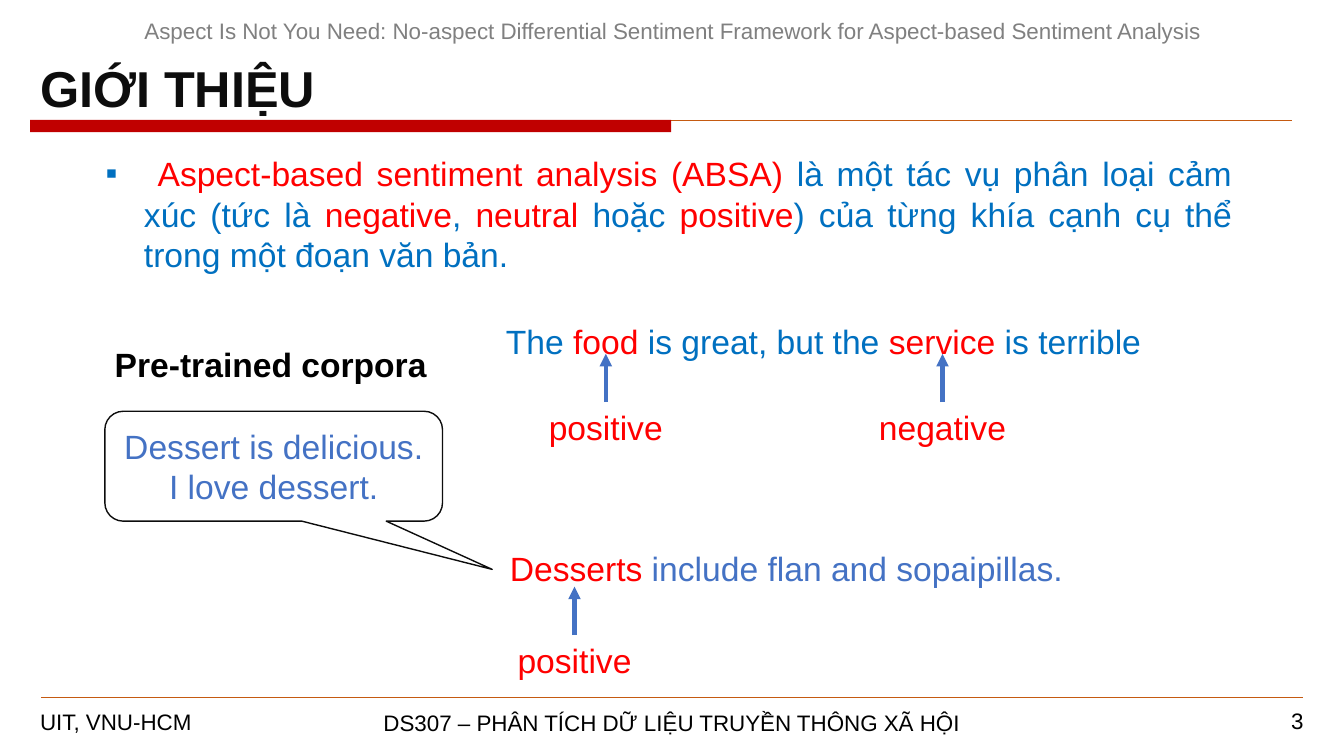
import pptx
import pptx.util
import pptx.dml.color
import pptx.enum.shapes
import pptx.enum.text
import pptx.oxml
import pptx.oxml.ns

RGB = pptx.dml.color.RGBColor
BLACK = RGB(0, 0, 0)
INK = RGB(0x0D, 0x0D, 0x0D)
GRAY = RGB(0x80, 0x80, 0x80)
WHITE = RGB(0xFF, 0xFF, 0xFF)
RED = RGB(0xFF, 0, 0)
CRIMSON = RGB(0xC0, 0, 0)
RUST = RGB(0xC5, 0x5A, 0x11)
BLUE = RGB(0, 0x70, 0xC0)
STEEL = RGB(0x44, 0x72, 0xC4)

SHAPE = pptx.enum.shapes.MSO_SHAPE
ALIGN = pptx.enum.text.PP_ALIGN
ANCHOR = pptx.enum.text.MSO_ANCHOR
Pt = pptx.util.Pt

# Grid: 40 columns by 30 rows
WIDTH, HEIGHT = pptx.util.Inches(13.33), pptx.util.Inches(7.5)
COL, ROW = WIDTH / 40, HEIGHT / 30


def place(box, x, y, w, h):
    """Turn a cell offset within a box into slide lengths."""
    return (round((box[0] + x) * COL), round((box[1] + y) * ROW),
            round(w * COL), round(h * ROW))


def write(shape, runs, size, align=ALIGN.LEFT, bold=False, anchor=ANCHOR.TOP):
    frame = shape.text_frame
    frame.word_wrap = True
    frame.vertical_anchor = anchor
    para = frame.paragraphs[0]
    para.alignment = align
    for text, color in runs:
        run = para.add_run()
        run.text = text
        run.font.name = "Arial"
        run.font.size = Pt(size)
        run.font.bold = bold
        run.font.color.rgb = color
    return para


def label(slide, area, runs, size=24, **style):
    shape = slide.shapes.add_textbox(*area)
    write(shape, runs, size, **style)
    return shape


def line(slide, start, end, color, width):
    link = slide.shapes.add_connector(
        pptx.enum.shapes.MSO_CONNECTOR.STRAIGHT, *start, *end)
    link.line.color.rgb = color
    link.line.width = Pt(width)
    pptx.oxml.ns.qn("a:effectLst")
    link._element.spPr.append(element("effectLst"))
    return link


def element(tag, **attrs):
    space = pptx.oxml.ns.nsdecls("a")
    node = pptx.oxml.parse_xml(f"<a:{tag} {space}/>")
    for name, value in attrs.items():
        node.set(name, value)
    return node


def rule(slide, box, x, y, w):
    left, top, width, _ = place(box, x, y, w, 0)
    line(slide, (left, top), (left + width, top), RUST, 0.5)


def header(slide, box):
    label(slide, place(box, 3.66, 0.48, 32.73, 2.56),
          [("Aspect Is Not You Need: No-aspect Differential Sentiment "
            "Framework for Aspect-based Sentiment Analysis", GRAY)],
          16, align=ALIGN.CENTER)
    label(slide, place(box, 0.9, 2.08, 19.92, 2.84),
          [("GIỚI THIỆU", INK)], 36, bold=True)
    rule(slide, box, 0.9, 4.76, 37.56)
    bar = slide.shapes.add_shape(SHAPE.RECTANGLE,
                                 *place(box, 0.9, 4.76, 19.08, 0.48))
    bar.shadow.inherit = False
    bar.fill.solid()
    bar.fill.fore_color.rgb = CRIMSON
    bar.line.fill.background()


def footer(slide, box):
    rule(slide, box, 1.23, 0, 37.56)
    label(slide, place(box, 0.9, 0.24, 6.51, 1.6),
          [("UIT, VNU-HCM", BLACK)], 16)
    label(slide, place(box, 10.98, 0.2, 18.03, 1.6),
          [("DS307 – PHÂN TÍCH DỮ LIỆU TRUYỀN THÔNG XÃ HỘI", BLACK)],
          16, align=ALIGN.CENTER, anchor=ANCHOR.MIDDLE)
    label(slide, place(box, 37.32, 0.12, 1.77, 1.6), [("3", BLACK)],
          16, align=ALIGN.RIGHT, anchor=ANCHOR.MIDDLE)


def define(slide, box):
    shape = slide.shapes.add_textbox(*place(box, 0, 0, *box[2:]))
    para = write(shape, [
        (" ", BLUE),
        ("Aspect-based sentiment analysis (ABSA) ", RED),
        ("là một tác vụ phân loại cảm xúc (tức là ", BLUE),
        ("negative", RED), (", ", BLUE), ("neutral", RED),
        (" hoặc ", BLUE), ("positive", RED),
        (") của từng khía cạnh cụ thể trong một đoạn văn bản.", BLUE),
    ], 24, ALIGN.JUSTIFY)
    # Square bullet with a hanging indent
    props = para._p.get_or_add_pPr()
    hang = pptx.util.Inches(0.38)
    props.set("marL", str(hang))
    props.set("indent", str(-hang))
    props.append(element("buFont", typeface="Arial"))
    props.append(element("buChar", char="▪"))


def corpus(slide, box):
    label(slide, place(box, 0, 0, box[2], 2),
          [("Pre-trained corpora", BLACK)], bold=True)
    bubble = slide.shapes.add_shape(SHAPE.ROUNDED_RECTANGULAR_CALLOUT,
                                    *place(box, 0, 2.88, 10.05, 4.36))
    for index, value in enumerate((0.647, 0.939, 0.167)):
        bubble.adjustments[index] = value
    bubble.shadow.inherit = False
    bubble.fill.solid()
    bubble.fill.fore_color.rgb = WHITE
    bubble.line.color.rgb = INK
    bubble.line.width = Pt(1)
    write(bubble, [("Dessert is delicious. I love dessert.", STEEL)],
          24, ALIGN.CENTER, anchor=ANCHOR.MIDDLE)


def sample(slide, box, runs, tags, drop):
    """A sentence with polarity tags pointing up at its aspects."""
    label(slide, place(box, 0, 0, *box[2:]), runs)
    for text, x in tags:
        left, top, width, height = place(box, x, drop, 4.68, 2)
        tag = label(slide, (left, top, width, height), [(text, RED)],
                    align=ALIGN.CENTER)
        mid = left + width // 2
        arrow = line(slide, (mid, top), (mid, top - round(1.92 * ROW)),
                     STEEL, 3)
        arrow.begin_connect(tag, 0)
        arrow.line._get_or_add_ln().append(
            element("tailEnd", type="triangle"))


def main():
    deck = pptx.Presentation()
    deck.slide_width, deck.slide_height = WIDTH, HEIGHT
    slide = deck.slides.add_slide(deck.slide_layouts[6])

    header(slide, (0, 0, 40, 5.24))
    define(slide, (2.85, 5.88, 34.11, 6.88))
    corpus(slide, (3.12, 13.44, 10.68, 7.24))
    sample(slide, (14.76, 12.52, 19.56, 2),
           [("The ", BLUE), ("food", RED), (" is great, but the ", BLUE),
            ("service", RED), (" is terrible", BLUE)],
           [("positive", 0.93), ("negative", 10.95)], 3.44)
    sample(slide, (14.88, 21.56, 17.13, 2),
           [("Desserts", RED), (" include flan and sopaipillas.", STEEL)],
           [("positive", -0.12)], 3.64)
    footer(slide, (0, 27.68, 40, 2.32))

    deck.save("out.pptx")


if __name__ == "__main__":
    main()
